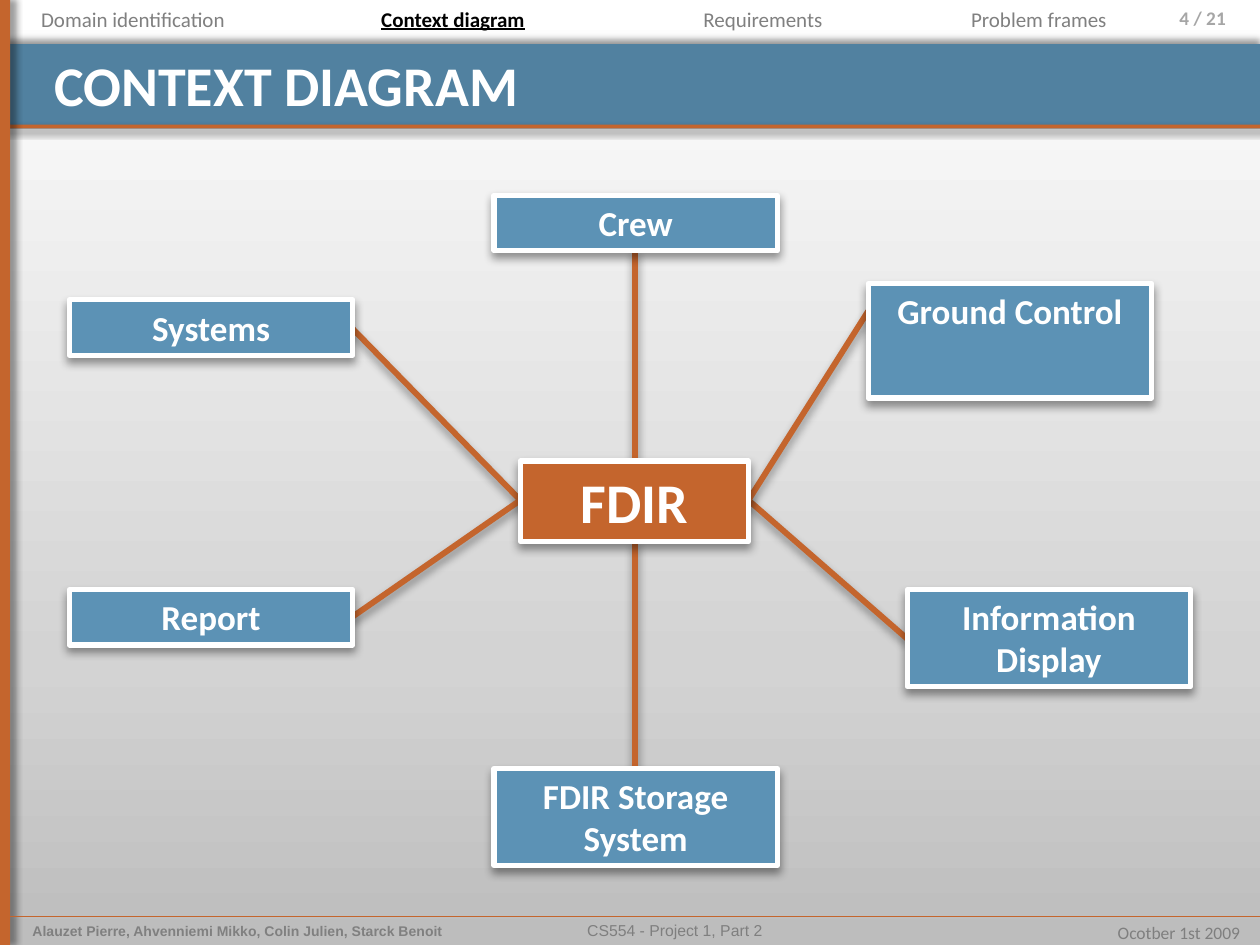
from copy import deepcopy

from lxml import etree
from pptx import Presentation
from pptx.dml.color import RGBColor
from pptx.enum.shapes import MSO_CONNECTOR, MSO_SHAPE
from pptx.enum.text import MSO_ANCHOR, MSO_AUTO_SIZE, PP_ALIGN
from pptx.oxml.ns import qn
from pptx.util import Inches, Pt

RECTANGLE = MSO_SHAPE.RECTANGLE
STRAIGHT = MSO_CONNECTOR.STRAIGHT
NO_AUTOFIT = MSO_AUTO_SIZE.NONE
TOP, MIDDLE = MSO_ANCHOR.TOP, MSO_ANCHOR.MIDDLE
LEFT, CENTER, RIGHT = PP_ALIGN.LEFT, PP_ALIGN.CENTER, PP_ALIGN.RIGHT

WHITE = RGBColor(0xFF, 0xFF, 0xFF)
BLACK = RGBColor(0x00, 0x00, 0x00)
BANNER_BLUE = RGBColor(0x51, 0x81, 0xA0)
BOX_BLUE = RGBColor(0x5C, 0x92, 0xB5)
ORANGE = RGBColor(0xC4, 0x65, 0x2D)
GRAY = RGBColor(0x80, 0x80, 0x80)
FOOTER_GRAY = RGBColor(0x7F, 0x7F, 0x7F)
PALE_GRAY = RGBColor(0xA6, 0xA6, 0xA6)
BACKDROP = [
    (0, RGBColor(0xBD, 0xBD, 0xBD)),
    (0.3, RGBColor(0xD3, 0xD3, 0xD3)),
    (1, WHITE),
]

BOX_WIDTH = 2.25
ONE_LINE, TWO_LINES = 0.44, 0.77
HUB = (4.13, 3.66, 1.81, 0.64)
HUB_LEFT, HUB_RIGHT = (4.13, 3.97), (5.94, 3.97)
HUB_TOP, HUB_BOTTOM = (5.04, 3.66), (5.04, 4.29)

# label, left, top, height, line start on the box, line end on the hub
NEIGHBOURS = [
    ("Information Display", 7.2, 4.68, TWO_LINES, (7.2, 5.07), HUB_RIGHT),
    ("Ground Control", 6.89, 2.25, 0.91, (6.89, 2.47), HUB_RIGHT),
    ("Crew", 3.92, 1.55, ONE_LINE, (5.04, 1.98), HUB_TOP),
    ("Systems", 0.55, 2.38, ONE_LINE, (2.79, 2.6), HUB_LEFT),
    ("FDIR Storage System", 3.92, 6.1, TWO_LINES, (5.04, 6.1), HUB_BOTTOM),
    ("Report", 0.55, 4.68, ONE_LINE, (2.79, 4.9), HUB_LEFT),
]

NAVIGATION = [
    ("Domain identification", 0, 2.11),
    ("Context diagram", 2.19, 2.81),
    ("Requirements", 5, 2.11),
    ("Problem frames", 7.19, 2.11),
]
CURRENT_SECTION = "Context diagram"


def cast_shadow(shape, blur, angle):
    properties = shape.element.spPr
    for old in properties.findall(qn("a:effectLst")):
        properties.remove(old)
    effects = etree.SubElement(properties, qn("a:effectLst"))
    shadow = etree.SubElement(
        effects, qn("a:outerShdw"), blurRad=str(Pt(blur)), dist=str(Pt(3)),
        dir=str(angle * 60000), rotWithShape="0")
    color = etree.SubElement(shadow, qn("a:srgbClr"), val="000000")
    etree.SubElement(color, qn("a:alpha"), val="40000")


class SlideBuilder:
    font = "Calibri"

    def __init__(self, deck):
        self.slide = deck.slides.add_slide(deck.slide_layouts[5])

    def backdrop(self, colors):
        fill = self.slide.background.fill
        fill.gradient()
        fill.gradient_angle = 90
        stop_list = self.slide.element.find(".//" + qn("a:gsLst"))
        stop_list.append(deepcopy(stop_list[-1]))
        for stop, (position, color) in zip(fill.gradient_stops, colors):
            stop.position = position
            stop.color.rgb = color

    def set_text(self, shape, text, size, color, align=CENTER, anchor=TOP,
                 bold=False, underline=False, font=None, right_inset=0.1):
        frame = shape.text_frame
        frame.word_wrap = True
        frame.auto_size = NO_AUTOFIT
        frame.vertical_anchor = anchor
        frame.margin_left, frame.margin_right = Inches(0.1), Inches(right_inset)
        frame.margin_top = frame.margin_bottom = Inches(0.05)
        para = frame.paragraphs[0]
        para.alignment = align
        span = para.add_run()
        span.text = text
        span.font.name = font or self.font
        span.font.size = Pt(size)
        span.font.bold = bold
        span.font.underline = underline
        span.font.color.rgb = color

    def title(self, text, left, top, width, height):
        title = self.slide.shapes.title
        title.left, title.top = Inches(left), Inches(top)
        title.width, title.height = Inches(width), Inches(height)
        self.set_text(title, text, 32, WHITE, LEFT, bold=True)
        title.element.getparent().append(title.element)  # in front of the banner

    def text(self, text, left, top, width, height, size, color, **style):
        box = self.slide.shapes.add_textbox(
            Inches(left), Inches(top), Inches(width), Inches(height))
        self.set_text(box, text, size, color, **style)

    def rectangle(self, left, top, width, height, color):
        shape = self.slide.shapes.add_shape(
            RECTANGLE, Inches(left), Inches(top), Inches(width), Inches(height))
        shape.fill.solid()
        shape.fill.fore_color.rgb = color
        return shape

    def band(self, left, top, width, height, color, angle):
        shape = self.rectangle(left, top, width, height, color)
        shape.line.fill.background()
        cast_shadow(shape, 4, angle)

    def box(self, text, left, top, width, height, color, size):
        shape = self.rectangle(left, top, width, height, color)
        shape.line.color.rgb = WHITE
        shape.line.width = Pt(3)
        cast_shadow(shape, 5.2, 90)
        self.set_text(shape, text, size, WHITE, bold=True)

    def line(self, start, end, width, blur, angle):
        line = self.slide.shapes.add_connector(
            STRAIGHT, *(Inches(value) for value in start + end))
        line.line.color.rgb = ORANGE
        line.line.width = Pt(width)
        cast_shadow(line, blur, angle)


def main():
    deck = Presentation()
    deck.slide_width, deck.slide_height = Inches(10), Inches(7.5)
    page = SlideBuilder(deck)

    page.backdrop(BACKDROP)
    page.band(0, 0.35, 10, 0.67, BANNER_BLUE, 270)
    page.band(0, 0.99, 10, 0.03, ORANGE, 45)
    page.band(0, 0, 0.08, 7.5, ORANGE, 0)

    page.text("Alauzet Pierre, Ahvenniemi Mikko, Colin Julien, Starck Benoit",
              0.16, 7.27, 3.67, 0.23, 8, GRAY,
              align=LEFT, anchor=MIDDLE, bold=True, font="Arial")
    page.text("CS554 - Project 1, Part 2", 2.27, 7.27, 6.17, 0.23, 9,
              FOOTER_GRAY, anchor=MIDDLE, font="Arial")
    page.text("4 / 21", 8.83, 0, 1.17, 0.39, 11, PALE_GRAY,
              align=RIGHT, bold=True, right_inset=0.27)
    page.line((0.08, 7.27), (10, 7.27), 0.25, 4, 45)
    page.text("Ocotber 1st 2009", 8.71, 7.27, 1.23, 0.27, 10, FOOTER_GRAY,
              align=RIGHT)

    page.title("CONTEXT DIAGRAM", 0.33, 0.35, 9.28, 0.58)

    for *_, box_point, hub_point in NEIGHBOURS:
        page.line(box_point, hub_point, 3.35, 5.2, 90)
    page.box("FDIR", *HUB, ORANGE, 32)
    for label, left, top, height, *_ in NEIGHBOURS:
        page.box(label, left, top, BOX_WIDTH, height, BOX_BLUE, 20)

    for section, left, width in NAVIGATION:
        current = section == CURRENT_SECTION
        page.text(section, left, 0, width, 0.3, 12, BLACK if current else GRAY,
                  bold=current, underline=current)

    deck.save("out.pptx")


if __name__ == "__main__":
    main()
